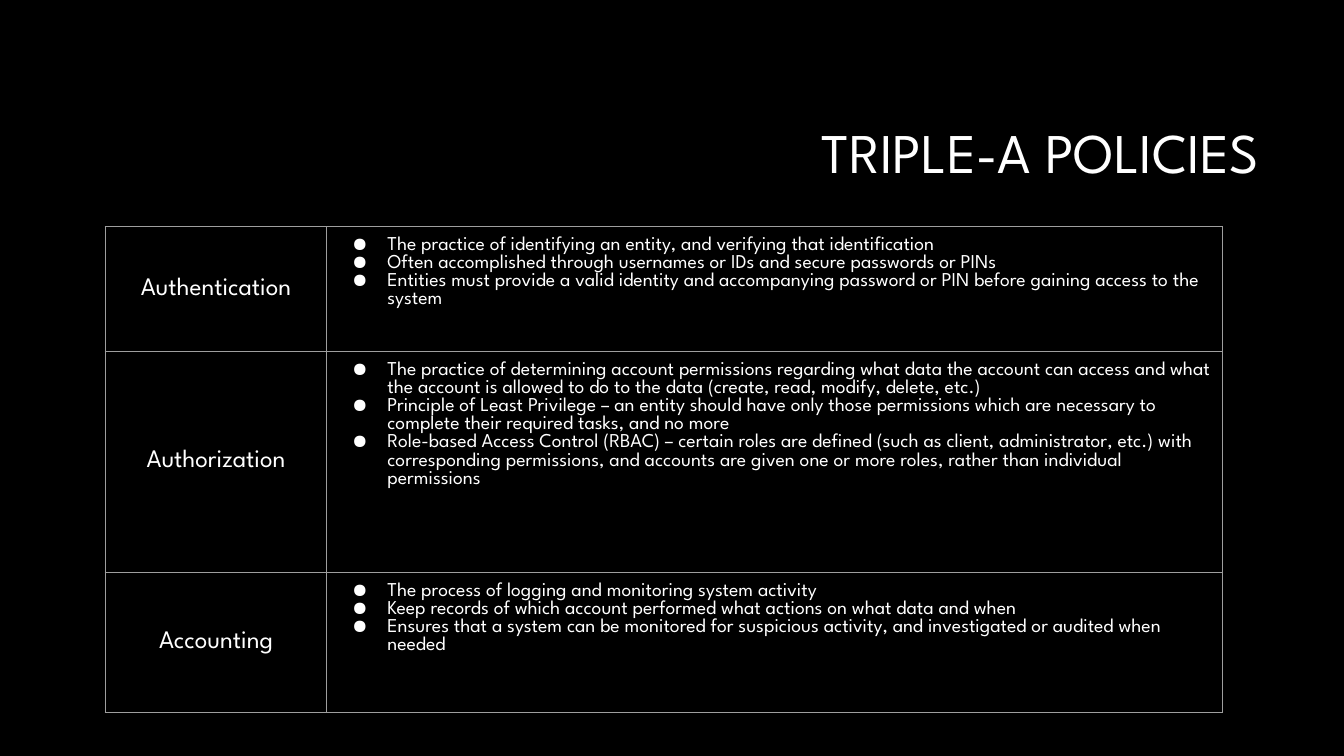
from dataclasses import dataclass

import pptx
import pptx.dml.color
import pptx.enum.text
import pptx.oxml
import pptx.oxml.ns
import pptx.util

Pt = pptx.util.Pt
ALIGN = pptx.enum.text.PP_ALIGN
ANCHOR = pptx.enum.text.MSO_ANCHOR


@dataclass(frozen=True)
class Theme:
    font: str = "League Spartan"
    background: str = "000000"
    text: str = "FFFFFF"
    border: str = "9E9E9E"
    title_size: float = 40
    term_size: float = 18
    body_size: float = 14
    border_width: float = 0.75
    cell_margin: float = 7.2


THEME = Theme()
COLUMN_WIDTHS = (158.4, 639.4)
POLICIES = (
    ("Authentication", 89.3, (
        "The practice of identifying an entity, and verifying that identification",
        "Often accomplished through usernames or IDs and secure passwords or PINs",
        "Entities must provide a valid identity and accompanying password or PIN "
        "before gaining access to the system",
    )),
    ("Authorization", 157.7, (
        "The practice of determining account permissions regarding what data the account "
        "can access and what the account is allowed to do to the data "
        "(create, read, modify, delete, etc.)",
        "Principle of Least Privilege – an entity should have only those permissions "
        "which are necessary to complete their required tasks, and no more",
        "Role-based Access Control (RBAC) – certain roles are defined (such as client, "
        "administrator, etc.) with corresponding permissions, and accounts are given "
        "one or more roles, rather than individual permissions",
    )),
    ("Accounting", 100.4, (
        "The process of logging and monitoring system activity",
        "Keep records of which account performed what actions on what data and when",
        "Ensures that a system can be monitored for suspicious activity, "
        "and investigated or audited when needed",
    )),
)


def rgb(value):
    return pptx.dml.color.RGBColor.from_string(value)


def append_xml(parent, tag, attributes="", content=""):
    namespace = pptx.oxml.ns.nsdecls("a")
    parent.append(pptx.oxml.parse_xml(f"<a:{tag} {namespace} {attributes}>{content}</a:{tag}>"))


def style_paragraph(paragraph, size, alignment=ALIGN.LEFT):
    paragraph.alignment = alignment
    paragraph.font.name = THEME.font
    paragraph.font.size = Pt(size)
    paragraph.font.color.rgb = rgb(THEME.text)


def add_bullet(paragraph):
    properties = paragraph._p.get_or_add_pPr()
    properties.set("marL", str(Pt(36)))
    properties.set("indent", str(Pt(-25.2)))
    append_xml(properties, "buClr", content=f'<a:srgbClr val="{THEME.text}"/>')
    append_xml(properties, "buChar", 'char="●"')


def add_title(slide, text):
    box = slide.shapes.add_textbox(Pt(228.2), Pt(60.5), Pt(678.2), Pt(101.5))
    frame = box.text_frame
    frame.word_wrap = True
    frame.vertical_anchor = ANCHOR.MIDDLE
    paragraph = frame.paragraphs[0]
    paragraph.text = text
    paragraph.line_spacing = 0.9
    style_paragraph(paragraph, THEME.title_size, ALIGN.RIGHT)


def style_cell(cell, anchor):
    margin = Pt(THEME.cell_margin)
    cell.margin_left = cell.margin_right = cell.margin_top = cell.margin_bottom = margin
    cell.vertical_anchor = anchor
    properties = cell._tc.get_or_add_tcPr()
    line = f'<a:solidFill><a:srgbClr val="{THEME.border}"/></a:solidFill>'
    for side in ("lnL", "lnR", "lnT", "lnB"):
        append_xml(properties, side, f'w="{Pt(THEME.border_width)}"', line)
    cell.fill.background()


def fill_term(cell, term):
    style_cell(cell, ANCHOR.MIDDLE)
    cell.text = term
    style_paragraph(cell.text_frame.paragraphs[0], THEME.term_size, ALIGN.CENTER)


def fill_points(cell, points):
    style_cell(cell, ANCHOR.TOP)
    cell.text = "\n".join(points)
    for paragraph in cell.text_frame.paragraphs:
        add_bullet(paragraph)
        style_paragraph(paragraph, THEME.body_size)


def add_policy_table(slide, policies):
    height = sum(row_height for _, row_height, _ in policies)
    table = slide.shapes.add_table(
        len(policies), len(COLUMN_WIDTHS),
        Pt(75.1), Pt(161.8), Pt(sum(COLUMN_WIDTHS)), Pt(height),
    ).table
    table.first_row = False
    table.horz_banding = False
    for column, width in zip(table.columns, COLUMN_WIDTHS):
        column.width = Pt(width)
    for row, (term, row_height, points) in zip(table.rows, policies):
        row.height = Pt(row_height)
        fill_term(row.cells[0], term)
        fill_points(row.cells[1], points)


def main():
    presentation = pptx.Presentation()
    presentation.slide_width = Pt(960)
    presentation.slide_height = Pt(540)
    slide = presentation.slides.add_slide(presentation.slide_layouts[6])
    slide.background.fill.solid()
    slide.background.fill.fore_color.rgb = rgb(THEME.background)
    add_title(slide, "TRIPLE-A POLICIES")
    add_policy_table(slide, POLICIES)
    presentation.save("out.pptx")


if __name__ == "__main__":
    main()
